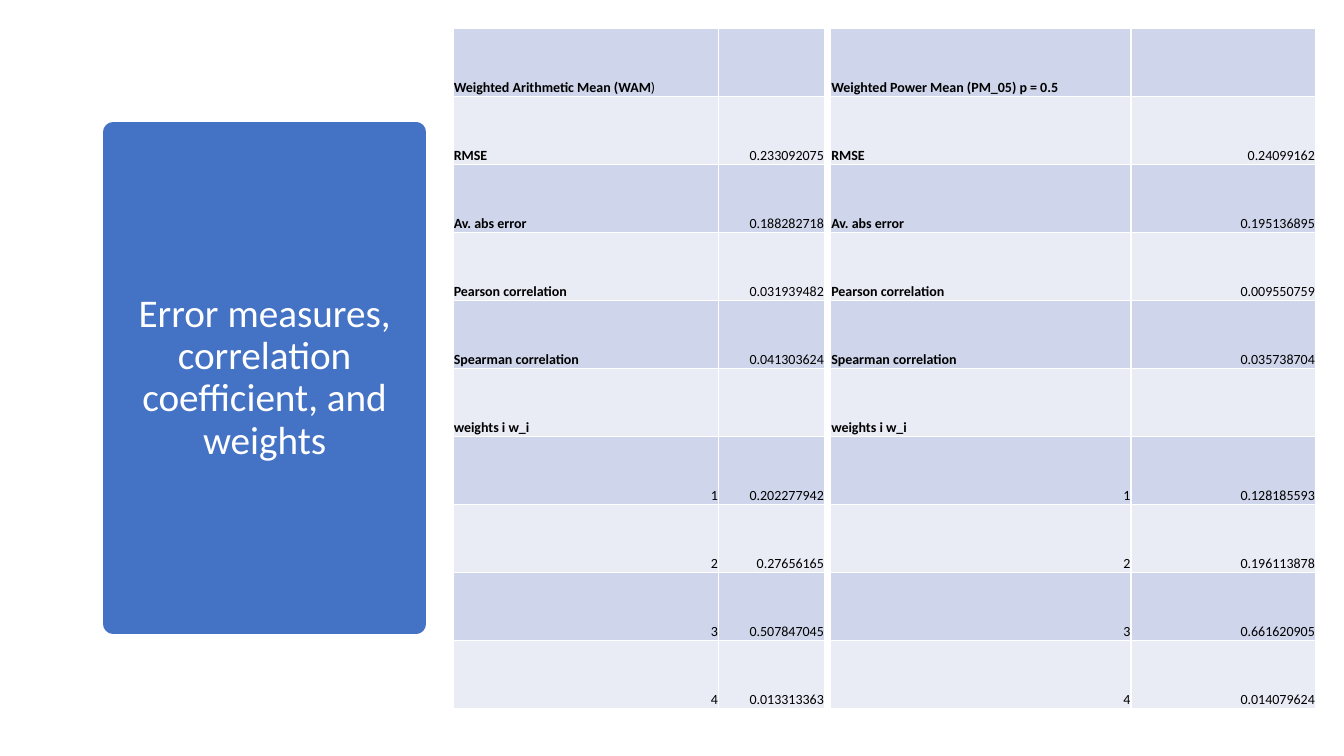
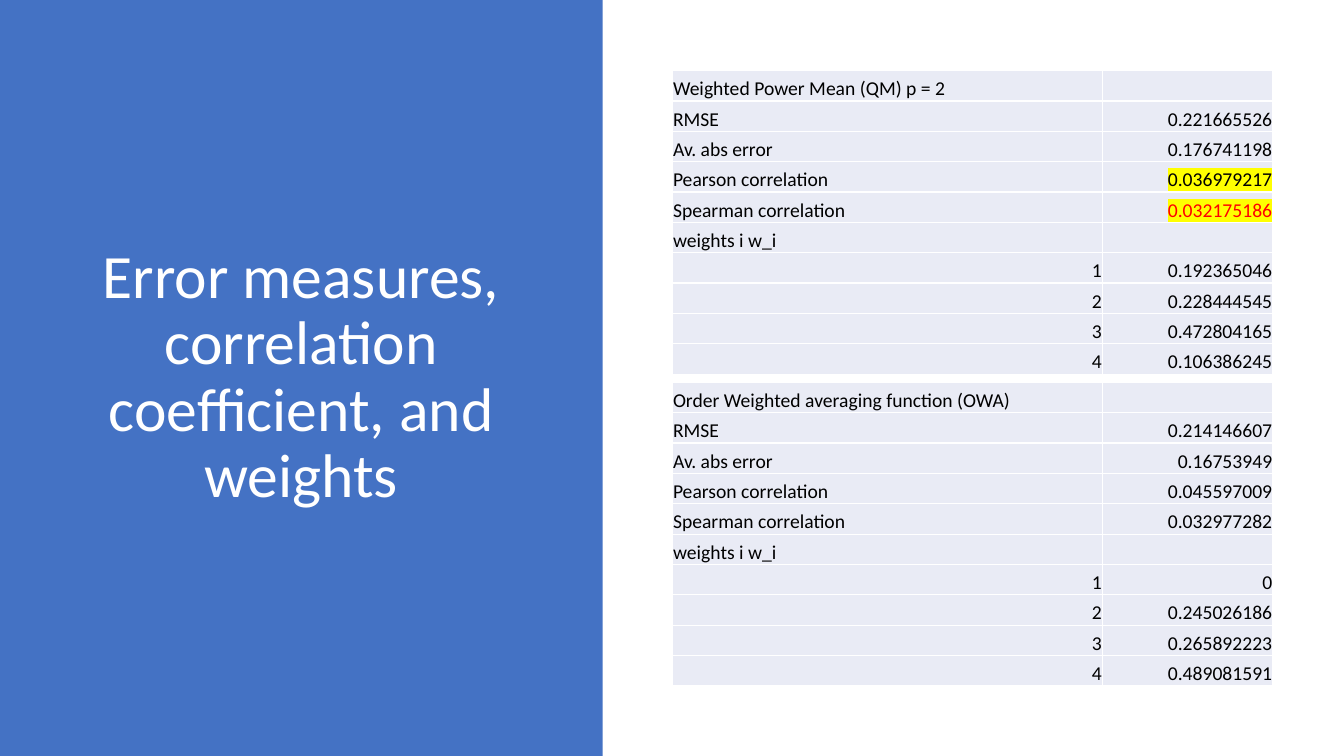
from lxml import etree
from pptx import Presentation
from pptx.dml.color import RGBColor
from pptx.enum.shapes import MSO_SHAPE
from pptx.enum.text import MSO_ANCHOR, MSO_AUTO_SIZE, PP_ALIGN
from pptx.oxml.ns import qn
from pptx.util import Pt

RECT = MSO_SHAPE.RECTANGLE
MIDDLE, BOTTOM = MSO_ANCHOR.MIDDLE, MSO_ANCHOR.BOTTOM
LEFT, CENTER, RIGHT = PP_ALIGN.LEFT, PP_ALIGN.CENTER, PP_ALIGN.RIGHT
NO_FIT = MSO_AUTO_SIZE.NONE

HEX = {"blue": "4472C4", "dark": "CFD5EA", "pale": "E9EBF5", "white": "FFFFFF",
       "black": "000000", "red": "FF0000", "mark": "FFFF00"}
FONT = "Calibri"
TITLE = "Error measures, correlation coefficient, and weights"
LABELS = ["RMSE", "Av. abs error", "Pearson correlation", "Spearman correlation",
          "weights i w_i", "1", "2", "3", "4"]

WIDE = {"size": 10, "bold": True, "fills": ["dark", "pale"], "row": 48.6}
FLAT = {"size": 14, "bold": False, "fills": ["pale"], "row": 21.7}

SLIDES = [
    {"title": (80.64, 94.32, 216.72, 351.36), "size": 28, "frame": 13.75, "look": WIDE,
     "tables": [
         {"at": (593.28, 20.16), "cols": (214.56, 131.76),
          "head": "Weighted Power Mean (PM_05) p = 0.5",
          "values": ["0.24099162", "0.195136895", "0.009550759", "0.035738704", "",
                     "0.128185593", "0.196113878", "0.661620905", "0.014079624"]},
         {"at": (323.64, 20.16), "cols": (189.72, 75.6),
          "head": "Weighted Arithmetic Mean (WAM", "tail": ")",
          "values": ["0.233092075", "0.188282718", "0.031939482", "0.041303624", "",
                     "0.202277942", "0.27656165", "0.507847045", "0.013313363"]}]},
    {"title": (48.96, 50.4, 332.64, 439.2), "size": 44, "look": FLAT,
     "panel": (0, 0, 430.56, 540),
     "tables": [
         {"at": (480.24, 273.1), "cols": (307.2, 121.9),
          "head": "Order Weighted averaging function (OWA)",
          "values": ["0.214146607", "0.16753949", "0.045597009", "0.032977282", "",
                     "0", "0.245026186", "0.265892223", "0.489081591"]},
         {"at": (480.24, 50.4), "cols": (307.2, 121.9),
          "head": "Weighted Power Mean (QM) p = 2",
          "marks": {"0.036979217": "black", "0.032175186": "red"},
          "values": ["0.221665526", "0.176741198", "0.036979217", "0.032175186", "",
                     "0.192365046", "0.228444545", "0.472804165", "0.106386245"]}]},
]


def rgb(name):
    return RGBColor.from_string(HEX[name])


def paint(shape, name):
    shape.fill.solid()
    shape.fill.fore_color.rgb = rgb(name)


def style(run, size, color, bold=False):
    font = run.font
    font.name, font.size, font.bold = FONT, Pt(size), bold
    font.color.rgb = rgb(color)


def add_tint(node, name):
    return etree.SubElement(node, qn("a:srgbClr"), val=HEX[name])


def highlight(run):
    mark = etree.Element(qn("a:highlight"))
    add_tint(mark, "mark")
    run.font._element.find(qn("a:solidFill")).addnext(mark)


def rule(cell):
    props = cell._tc.get_or_add_tcPr()
    for i, side in enumerate(("lnL", "lnR", "lnT", "lnB")):
        line = etree.Element(qn("a:" + side), w=str(Pt(1)))
        add_tint(etree.SubElement(line, qn("a:solidFill")), "white")
        props.insert(i, line)


def set_cell(cell, text, look, fill, right, bold, color="black"):
    cell.margin_left = cell.margin_right = cell.margin_top = Pt(0.5)
    cell.margin_bottom = 0
    cell.vertical_anchor = BOTTOM
    paint(cell, fill)
    rule(cell)
    par = cell.text_frame.paragraphs[0]
    par.text = text
    par.alignment = RIGHT if right else LEFT
    for run in par.runs:
        style(run, look["size"], color, bold)
    if not text:
        etree.SubElement(par._p, qn("a:endParaRPr"), sz=str(look["size"] * 100))
    return par


def add_grid(slide, data, look):
    rows = [(data["head"], "")] + list(zip(LABELS, data["values"]))
    cols, marks = data["cols"], data.get("marks", {})
    box = [*data["at"], sum(cols), look["row"] * len(rows)]
    grid = slide.shapes.add_table(len(rows), len(cols), *map(Pt, box)).table
    grid.first_row = grid.horz_banding = False
    for col, width in zip(grid.columns, cols):
        col.width = Pt(width)
    for r, (label, value) in enumerate(rows):
        grid.rows[r].height = Pt(look["row"])
        fill = look["fills"][r % len(look["fills"])]
        digit = label.isdigit()
        name = set_cell(grid.cell(r, 0), label, look, fill, digit,
                        look["bold"] and not digit)
        par = set_cell(grid.cell(r, 1), value, look, fill, True, False,
                       marks.get(value, "black"))
        if value in marks:
            highlight(par.runs[0])
        if r == 0 and "tail" in data:
            run = name.add_run()
            run.text = data["tail"]
            style(run, look["size"], "black")


def set_title(slide, data):
    title = slide.shapes.title
    title.left, title.top, title.width, title.height = map(Pt, data["title"])
    if "frame" in data:
        paint(title, "blue")
        title.line.color.rgb = rgb("blue")
        title.line.width = Pt(data["frame"])
        etree.SubElement(title.line._get_or_add_ln(), qn("a:round"))
    frame = title.text_frame
    frame.text = TITLE
    frame.word_wrap = True
    frame.auto_size = NO_FIT
    frame.vertical_anchor = MIDDLE
    par = frame.paragraphs[0]
    par.alignment = CENTER
    par.line_spacing = 0.9
    style(par.runs[0], data["size"], "white")


def add_panel(slide, box):
    panel = slide.shapes.add_shape(RECT, *map(Pt, box))
    panel.shadow.inherit = False
    paint(panel, "blue")
    panel.line.fill.background()
    slide.shapes.title._element.addprevious(panel._element)


def main():
    deck = Presentation()
    deck.slide_width, deck.slide_height = Pt(960), Pt(540)
    for data in SLIDES:
        slide = deck.slides.add_slide(deck.slide_layouts[5])
        set_title(slide, data)
        if "panel" in data:
            add_panel(slide, data["panel"])
        for item in data["tables"]:
            add_grid(slide, item, data["look"])
    deck.save("out.pptx")


if __name__ == "__main__":
    main()
